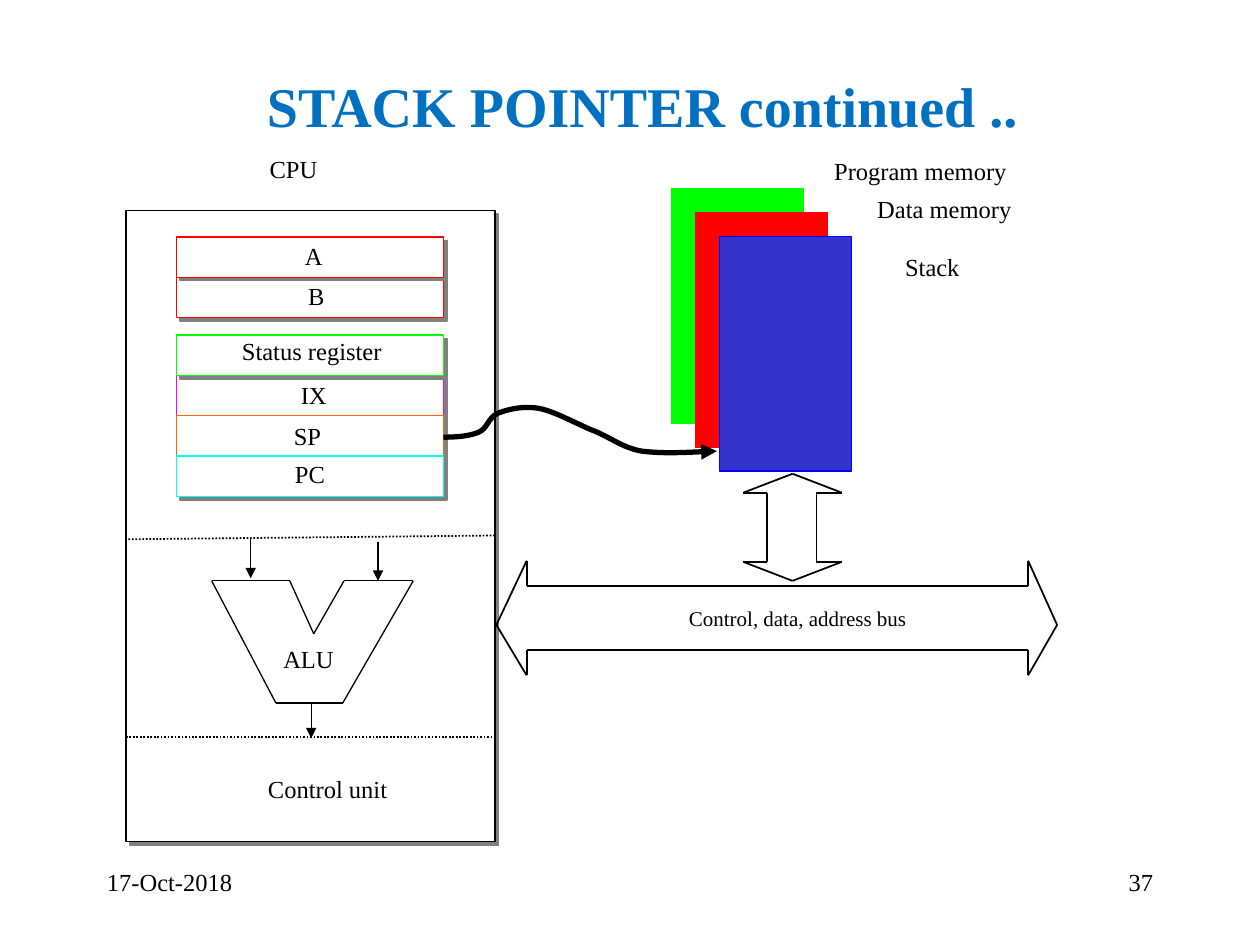
from dataclasses import dataclass
from itertools import pairwise
from typing import NamedTuple

from lxml.etree import SubElement
from pptx import Presentation
from pptx.dml.color import RGBColor
from pptx.enum.dml import MSO_LINE
from pptx.enum.shapes import MSO_CONNECTOR, MSO_SHAPE
from pptx.enum.text import MSO_ANCHOR, PP_ALIGN
from pptx.oxml.ns import qn
from pptx.util import Inches, Pt


@dataclass(frozen=True)
class Theme:
    font: str = "Times New Roman"
    ink: str = "000000"
    paper: str = "FFFFFF"
    shade: str = "808080"
    title: str = "0070C0"
    red: str = "FF0000"
    green: str = "00FF00"
    pink: str = "FF00FF"
    orange: str = "FF6600"
    cyan: str = "00FFFF"
    navy: str = "3333CC"
    blue: str = "0000FF"
    head: float = 32
    body: float = 14
    small: float = 12
    thin: float = 0.75
    mid: float = 1
    thick: float = 3


class Box(NamedTuple):
    x: float
    y: float
    w: float
    h: float


class Panel(NamedTuple):
    box: Box
    fill: str
    edge: str


class Label(NamedTuple):
    text: str
    box: Box


Point = tuple[float, float]
T = Theme()
deck = Presentation()
deck.slide_width, deck.slide_height = Inches(10), Inches(7.5)
slide = deck.slides.add_slide(deck.slide_layouts[6])
shapes = slide.shapes


def write(text: str, box: Box, *, size: float = T.body, color: str = T.ink,
          bold: bool = False, align=PP_ALIGN.CENTER,
          anchor=MSO_ANCHOR.TOP, pad: bool = False) -> None:
    frame = shapes.add_textbox(*map(Inches, box)).text_frame
    frame.word_wrap = True
    frame.vertical_anchor = anchor
    if not pad:
        frame.margin_left = frame.margin_right = 0
        frame.margin_top = frame.margin_bottom = 0
    para = frame.paragraphs[0]
    para.alignment = align
    run = para.add_run()
    run.text = text
    run.font.name = T.font
    run.font.size = Pt(size)
    run.font.bold = bold
    run.font.color.rgb = RGBColor.from_string(color)


def stroke(shape, color: str, width: float, arrow: bool = False) -> None:
    shape.line.color.rgb = RGBColor.from_string(color)
    shape.line.width = Pt(width)
    if arrow:
        edge = shape._element.spPr.find(qn("a:ln"))
        SubElement(edge, qn("a:tailEnd"), type="triangle")


def block(panel: Panel, width: float = T.thin, shadow: bool = False) -> None:
    rect = shapes.add_shape(MSO_SHAPE.RECTANGLE, *map(Inches, panel.box))
    rect.fill.solid()
    rect.fill.fore_color.rgb = RGBColor.from_string(panel.fill)
    stroke(rect, panel.edge, width)
    rect.shadow.inherit = False
    if shadow:
        effect = rect._element.spPr.find(qn("a:effectLst"))
        outer = SubElement(effect, qn("a:outerShdw"), blurRad="0",
                           dist=str(int(Pt(2.8))), dir="2700000", algn="ctr")
        SubElement(outer, qn("a:srgbClr"), val=T.shade)


def link(start: Point, end: Point, width: float = T.thin,
         dotted: bool = False, arrow: bool = False) -> None:
    line = shapes.add_connector(MSO_CONNECTOR.STRAIGHT,
                                *map(Inches, start + end))
    if dotted:
        line.line.dash_style = MSO_LINE.ROUND_DOT
    stroke(line, T.ink, width, arrow)
    SubElement(line._element.spPr, qn("a:effectLst"))


def trace(points: list[Point], width: float) -> None:
    """Draw a closed outline, one line per side."""
    for start, end in pairwise(points + points[:1]):
        link(start, end, width)


def curve(points: list[Point]) -> None:
    """Draw an arrow of Bezier arcs: a start, then three points per arc."""
    first, *rest = [(Inches(x), Inches(y)) for x, y in points]
    pen = shapes.build_freeform(*first)
    pen.add_line_segments(rest, close=False)
    shape = pen.convert_to_shape()
    shape.fill.background()
    stroke(shape, T.ink, T.thick, arrow=True)
    shape.shadow.inherit = False
    # Merge each three line steps into one cubic arc
    route = next(shape._element.iter(qn("a:path")))
    steps = route.findall(qn("a:lnTo"))
    for i in range(0, len(steps), 3):
        arc = SubElement(route, qn("a:cubicBezTo"))
        for step in steps[i:i + 3]:
            arc.append(step[0])
            route.remove(step)


# Title and CPU frame
write("STACK POINTER continued ..", Box(0.85, 0.44, 8.5, 0.79), size=T.head,
      color=T.title, bold=True, anchor=MSO_ANCHOR.MIDDLE, pad=True)
block(Panel(Box(1, 1.67, 2.93, 5.01), T.paper, T.ink), T.mid, shadow=True)
link((1.02, 4.28), (3.93, 4.25), T.mid, dotted=True)
link((1, 5.85), (3.93, 5.85), T.mid, dotted=True)
write("Control unit", Box(1.49, 6.09, 2.22, 0.33), pad=True)

# Memory arrow and bus arrow
trace([(6.29, 3.76), (6.68, 3.91), (6.48, 3.91), (6.48, 4.46), (6.68, 4.46),
       (6.29, 4.61), (5.9, 4.46), (6.09, 4.46), (6.09, 3.91), (5.9, 3.91)],
      T.mid)
trace([(3.94, 4.96), (4.18, 4.45), (4.18, 4.65), (8.16, 4.65), (8.16, 4.45),
       (8.39, 4.96), (8.16, 5.36), (8.16, 5.16), (4.18, 5.16), (4.18, 5.36)],
      T.mid)
write("Control, data, address bus", Box(5.37, 4.76, 2.26, 0.3),
      size=T.small, align=PP_ALIGN.LEFT, pad=True)

# ALU with its inputs and output
trace([(1.68, 4.61), (2.3, 4.61), (2.49, 5.03), (2.73, 4.61), (3.28, 4.61),
       (2.72, 5.58), (2.19, 5.58)], T.thin)
write("ALU", Box(2.15, 5.06, 0.76, 0.33), align=PP_ALIGN.LEFT, pad=True)
for x, top, end in [(1.99, 4.28, 4.59), (3, 4.3, 4.61), (2.47, 5.58, 5.86)]:
    link((x, top), (x, end), arrow=True)

# Registers, from back to front
for y, edge in [(2.98, T.pink), (2.66, T.green), (3.3, T.orange),
                (3.62, T.cyan), (2.2, T.red), (1.88, T.red)]:
    block(Panel(Box(1.4, y, 2.12, 0.32), T.paper, edge), shadow=True)

# Memory blocks, each one step lower and to the right
for i, (fill, edge) in enumerate([(T.green, T.green), (T.red, T.red),
                                  (T.navy, T.blue)]):
    step = 0.19 * i
    block(Panel(Box(5.33 + step, 1.5 + step, 1.05, 1.86), fill, edge))

# Register and memory names
row = 0.23
for label in [
    Label("CPU", Box(1.76, 1.22, 1.14, row)),
    Label("A", Box(2.08, 1.91, 0.82, row)),
    Label("B", Box(2.1, 2.23, 0.82, row)),
    Label("Status register", Box(1.62, 2.67, 1.71, row)),
    Label("IX", Box(2.08, 3.02, 0.82, row)),
    Label("SP", Box(2.03, 3.34, 0.82, row)),
    Label("PC", Box(2.05, 3.64, 0.82, row)),
    Label("Program memory", Box(6.45, 1.24, 1.71, row)),
    Label("Data memory", Box(6.8, 1.54, 1.39, row)),
    Label("Stack", Box(6.93, 2, 0.94, row)),
]:
    write(label.text, label.box)

# Pointer from SP to the stack
curve([(3.52, 3.47),
       (3.63, 3.47), (3.73, 3.46), (3.8, 3.43),
       (3.87, 3.4), (3.87, 3.32), (3.95, 3.28),
       (4.03, 3.25), (4.14, 3.22), (4.27, 3.24),
       (4.39, 3.26), (4.55, 3.35), (4.69, 3.41),
       (4.83, 3.46), (4.93, 3.55), (5.09, 3.58),
       (5.26, 3.6), (5.48, 3.59), (5.69, 3.58)])

# Footer
write("17-Oct-2018", Box(0.75, 6.83, 2.08, 0.5), align=PP_ALIGN.LEFT, pad=True)
write("37", Box(7.17, 6.83, 2.08, 0.5), align=PP_ALIGN.RIGHT, pad=True)

deck.save("out.pptx")
